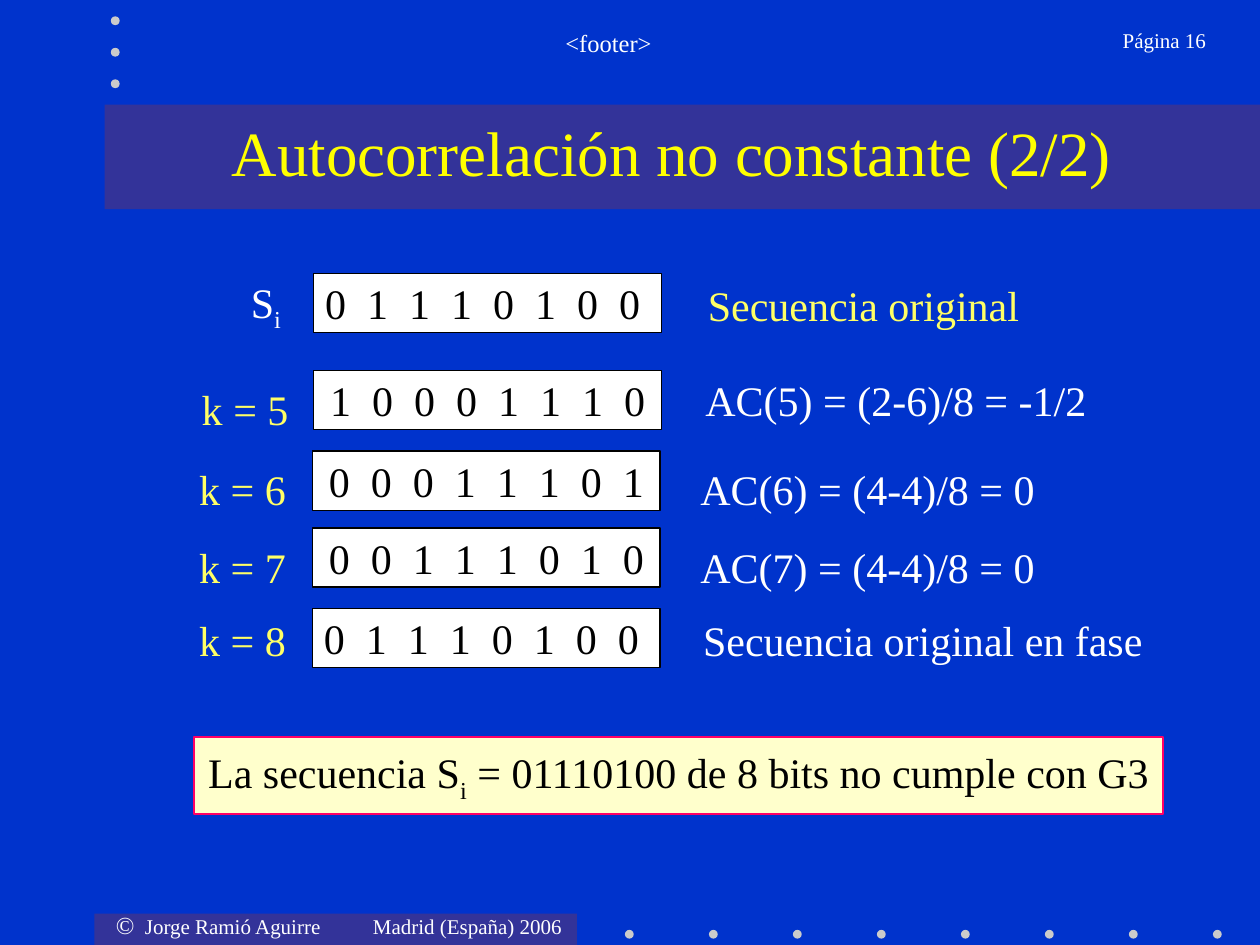
from dataclasses import dataclass

from lxml import etree
from pptx import Presentation
from pptx.dml.color import RGBColor
from pptx.enum.shapes import MSO_SHAPE
from pptx.enum.text import MSO_ANCHOR, PP_ALIGN
from pptx.oxml.ns import qn
from pptx.util import Inches, Pt

RECTANGLE, OVAL = MSO_SHAPE.RECTANGLE, MSO_SHAPE.OVAL
LEFT, CENTER, RIGHT = PP_ALIGN.LEFT, PP_ALIGN.CENTER, PP_ALIGN.RIGHT
TOP, MIDDLE = MSO_ANCHOR.TOP, MSO_ANCHOR.MIDDLE

BLUE = RGBColor(0x00, 0x33, 0xCC)
INDIGO = RGBColor(0x33, 0x33, 0x99)
GRAY = RGBColor(0xCB, 0xCB, 0xCB)
WHITE = RGBColor(0xFF, 0xFF, 0xFF)
BLACK = RGBColor(0x00, 0x00, 0x00)
YELLOW = RGBColor(0xFF, 0xFF, 0x00)
PALE_YELLOW = RGBColor(0xFF, 0xFF, 0x66)
CREAM = RGBColor(0xFF, 0xFF, 0xCC)
PINK = RGBColor(0xFF, 0x00, 0x66)

FONT = "Times New Roman"
DOT_SIZE = 0.07
DIGIT_PITCH = 1 / 3


@dataclass(frozen=True)
class Span:
    text: str
    size: float = 24
    color: RGBColor = WHITE
    subscript: bool = False


@dataclass(frozen=True)
class Area:
    left: float
    top: float
    width: float
    height: float

    def lengths(self):
        return [Inches(value) for value in (self.left, self.top, self.width, self.height)]


@dataclass(frozen=True)
class Label:
    area: Area
    spans: tuple[Span, ...]
    align: PP_ALIGN = CENTER
    anchor: MSO_ANCHOR = MIDDLE
    wrap: bool = False


@dataclass(frozen=True)
class Sequence:
    left: float
    top: float
    bits: str
    inset: float


LABELS = [
    Label(Area(1.58, 0.17, 6.5, 0.5), (Span("<footer>", 14),), CENTER, TOP, True),
    Label(Area(8.3, 0.17, 1.37, 0.5), (Span("Página 16", 12),), RIGHT, TOP, True),
    Label(Area(1.89, 2.14, 0.44, 0.56), (Span("S"), Span("i", subscript=True))),
    Label(Area(5.52, 2.17, 2.9, 0.45), (Span("Secuencia original", color=PALE_YELLOW),),
          LEFT, TOP),
    Label(Area(1.5, 2.99, 0.89, 0.5), (Span("k = 5", color=PALE_YELLOW),)),
    Label(Area(5.5, 2.92, 3.22, 0.5), (Span("AC(5) = (2-6)/8 = -1/2"),), LEFT),
    Label(Area(1.48, 3.63, 0.89, 0.5), (Span("k = 6", color=PALE_YELLOW),)),
    Label(Area(5.46, 3.63, 2.85, 0.5), (Span("AC(6) = (4-4)/8 = 0"),), LEFT),
    Label(Area(1.48, 4.25, 0.89, 0.5), (Span("k = 7", color=PALE_YELLOW),)),
    Label(Area(5.46, 4.25, 2.85, 0.5), (Span("AC(7) = (4-4)/8 = 0"),), LEFT),
    Label(Area(1.48, 4.83, 0.89, 0.5), (Span("k = 8", color=PALE_YELLOW),)),
    Label(Area(5.48, 4.83, 3.69, 0.5), (Span("Secuencia original en fase"),)),
]
SEQUENCES = [
    Sequence(2.49, 2.17, "01110100", 0.09),
    Sequence(2.49, 2.94, "10001110", 0.13),
    Sequence(2.48, 3.58, "00011101", 0.13),
    Sequence(2.48, 4.19, "00111010", 0.13),
    Sequence(2.48, 4.83, "01110100", 0.09),
]


def set_values(target, values: dict) -> None:
    for name, value in values.items():
        setattr(target, name, value)


def add_tabs(para, stops: list[float]) -> None:
    tabs = etree.SubElement(para._p.get_or_add_pPr(), qn("a:tabLst"))
    for stop in stops:
        etree.SubElement(tabs, qn("a:tab"), pos=str(Inches(stop)), algn="l")


def write_text(shape, spans: tuple[Span, ...], align: PP_ALIGN = CENTER,
               anchor: MSO_ANCHOR = MIDDLE, wrap: bool = False,
               inset: float = 0.1, tabs: list[float] | None = None) -> None:
    frame = shape.text_frame
    set_values(frame, {
        "word_wrap": wrap, "vertical_anchor": anchor,
        "margin_left": Inches(inset), "margin_right": Inches(0.1),
        "margin_top": Inches(0.05), "margin_bottom": Inches(0.05),
    })
    para = frame.paragraphs[0]
    para.alignment = align
    if tabs:
        add_tabs(para, tabs)
    for span in spans:
        run = para.add_run()
        run.text = span.text
        set_values(run.font, {"name": FONT, "size": Pt(span.size)})
        run.font.color.rgb = span.color
        if span.subscript:
            run.font._element.set("baseline", "-25000")


def add_block(page, kind: MSO_SHAPE, area: Area, fill: RGBColor,
              line: RGBColor | None = None, line_width: float = 0.75):
    shape = page.shapes.add_shape(kind, *area.lengths())
    shape.shadow.inherit = False
    shape.fill.solid()
    shape.fill.fore_color.rgb = fill
    if line is None:
        shape.line.fill.background()
    else:
        shape.line.color.rgb = line
        shape.line.width = Pt(line_width)
    return shape


def add_label(page, label: Label) -> None:
    box = page.shapes.add_textbox(*label.area.lengths())
    write_text(box, label.spans, label.align, label.anchor, label.wrap)


def add_sequence(page, sequence: Sequence) -> None:
    area = Area(sequence.left, sequence.top, 2.76, 0.47)
    box = add_block(page, RECTANGLE, area, WHITE, BLACK)
    stops = [DIGIT_PITCH * index for index in range(1, len(sequence.bits))]
    write_text(box, (Span("\t".join(sequence.bits), color=BLACK),), LEFT,
               wrap=True, inset=sequence.inset, tabs=stops)


def add_decoration(page) -> None:
    add_block(page, RECTANGLE, Area(0.75, 7.25, 3.83, 0.25), INDIGO)
    add_block(page, RECTANGLE, Area(0.83, 0.83, 9.17, 0.83), INDIGO)
    bottom_dots = [(4.96 + index * 2 / 3, 7.38) for index in range(8)]
    top_dots = [(0.88, 0.13 + index * 0.25) for index in range(3)]
    for left, top in bottom_dots + top_dots:
        add_block(page, OVAL, Area(left, top, DOT_SIZE, DOT_SIZE), GRAY)
    credit = page.shapes.add_textbox(*Area(0.72, 7.17, 3.85, 0.34).lengths())
    write_text(credit, (Span("©", 14), Span("\tJorge Ramió Aguirre\tMadrid (España) 2006", 12)),
               LEFT, TOP, True, 0.2, [0.23, 2.04])


def add_title(page) -> None:
    title = page.shapes.title
    page.shapes._spTree.append(title._element)
    area = Area(0.83, 0.83, 9, 0.75)
    set_values(title, dict(zip(("left", "top", "width", "height"), area.lengths())))
    write_text(title, (Span("Autocorrelación no constante (2/2)", 36, YELLOW),), wrap=True)


def add_conclusion(page) -> None:
    box = add_block(page, RECTANGLE, Area(1.54, 5.85, 7.69, 0.61), CREAM, PINK, 1)
    write_text(box, (Span("La secuencia S", color=BLACK),
                     Span("i", color=BLACK, subscript=True),
                     Span(" = 01110100 de 8 bits no cumple con G3", color=BLACK)))


def main() -> None:
    deck = Presentation()
    set_values(deck, {"slide_width": Inches(10), "slide_height": Inches(7.5)})
    page = deck.slides.add_slide(deck.slide_layouts[5])
    page.background.fill.solid()
    page.background.fill.fore_color.rgb = BLUE
    add_decoration(page)
    add_title(page)
    for sequence in SEQUENCES:
        add_sequence(page, sequence)
    for label in LABELS:
        add_label(page, label)
    add_conclusion(page)
    deck.save("out.pptx")


if __name__ == "__main__":
    main()
